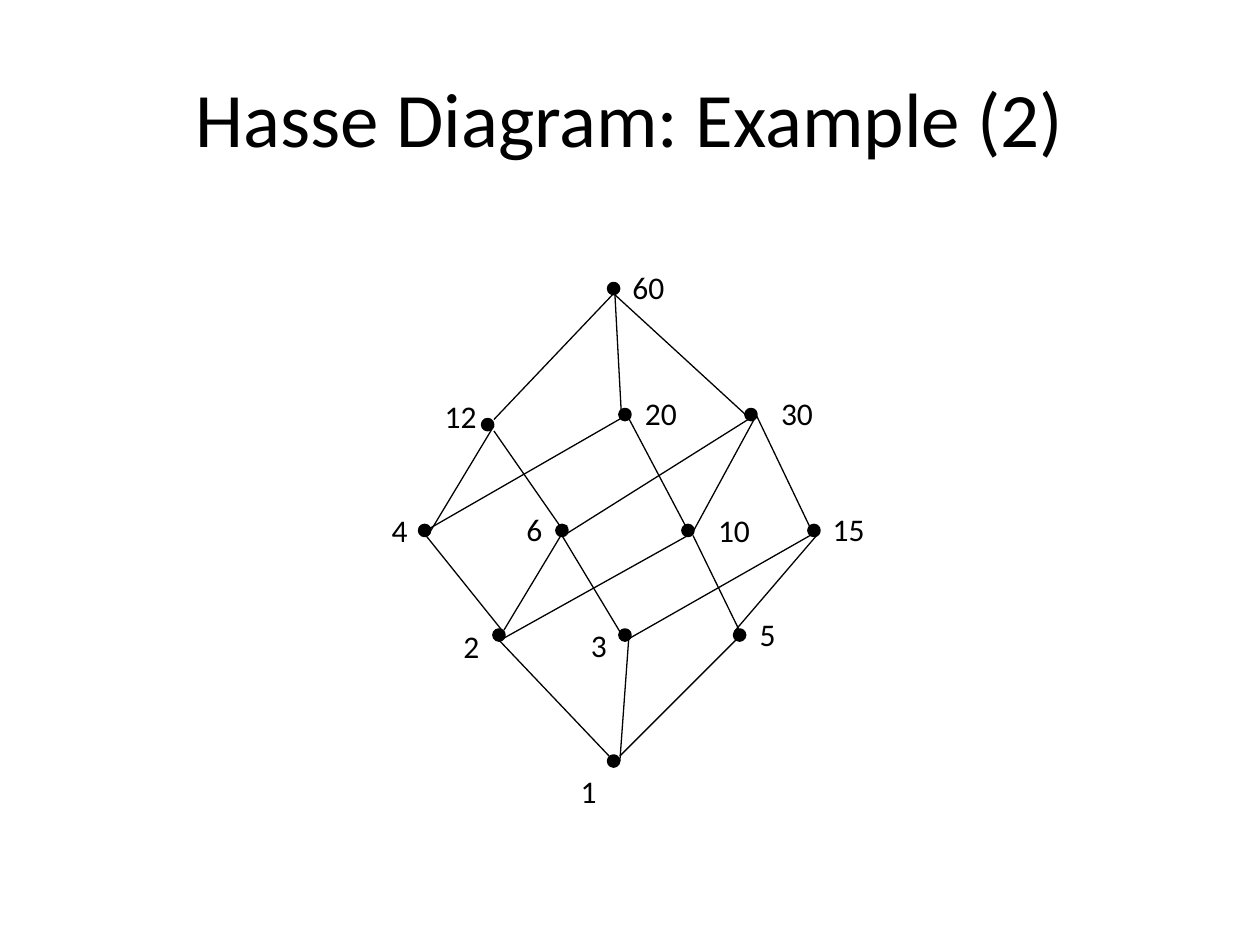
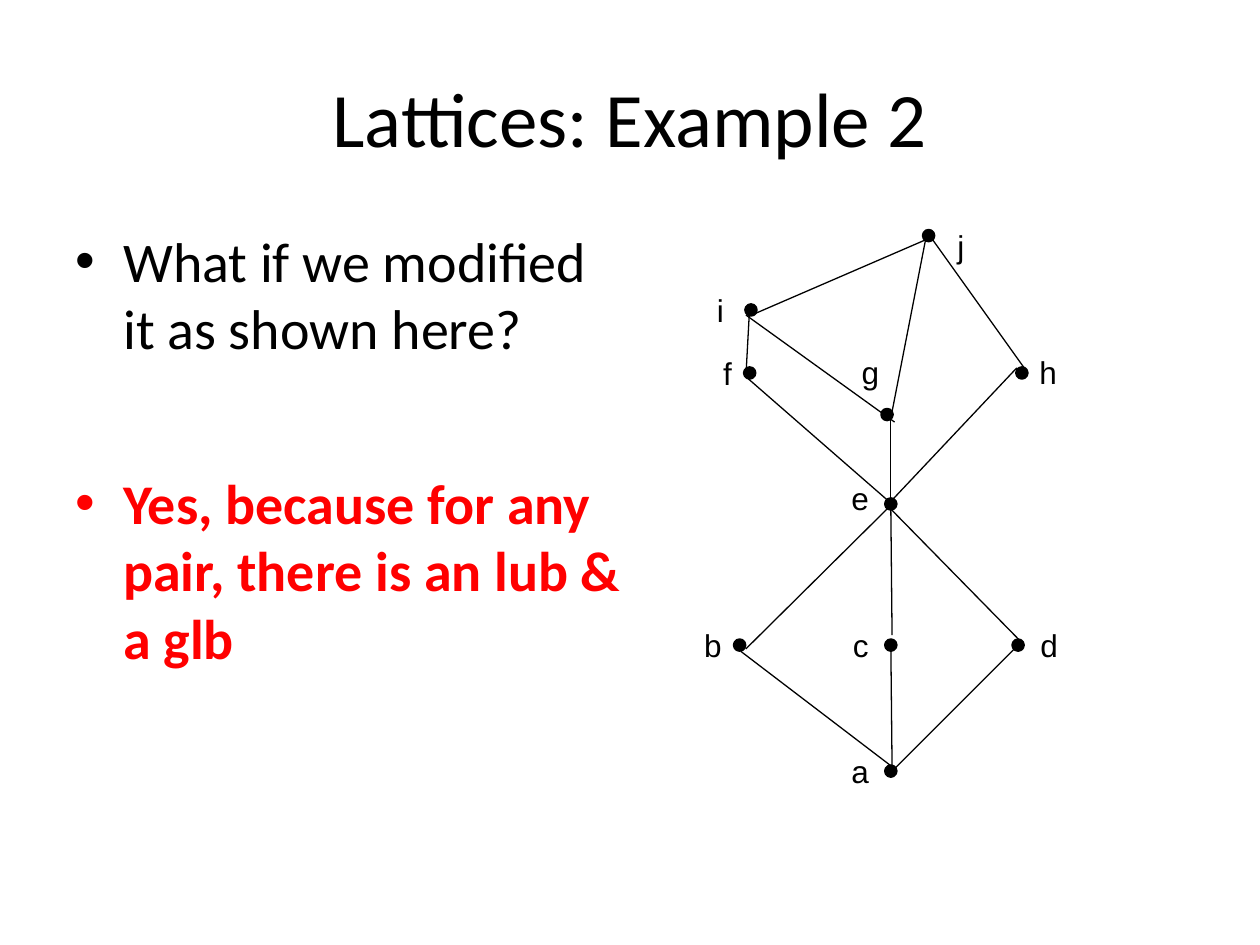
from lxml import etree
from pptx import Presentation
from pptx.dml.color import RGBColor
from pptx.enum import shapes, text
from pptx.oxml.ns import qn
from pptx.util import Inches, Pt

BLACK = RGBColor(0x00, 0x00, 0x00)
RED = RGBColor(0xFF, 0x00, 0x00)
BODY_FONT = "Calibri"
LETTER_FONT = "Arial"
DOT_SIZE = 0.08
LABEL_HEIGHT = 0.4
DIGIT_WIDTHS = {1: 0.32, 2: 0.45}
LETTER_WIDTHS = {"i": 0.25, "j": 0.25, "f": 0.27, "c": 0.32, "b": 0.33}
LETTER_WIDTH = 0.34

# Each node: name, left and top of its dot, left and top of its label
DIVISOR_NODES = [
    ("60", (4.83, 2.25), (4.92, 2.08)),
    ("12", (3.83, 3.33), (3.43, 3.1)),
    ("20", (4.92, 3.25), (5.02, 3.08)),
    ("30", (5.92, 3.25), (6.1, 3.08)),
    ("4", (3.33, 4.17), (3.01, 4.01)),
    ("6", (4.42, 4.17), (4.08, 4)),
    ("10", (5.42, 4.17), (5.6, 4.01)),
    ("15", (6.42, 4.17), (6.51, 4)),
    ("2", (3.92, 5), (3.58, 4.93)),
    ("3", (4.92, 5), (4.59, 4.92)),
    ("5", (5.83, 5), (5.93, 4.83)),
    ("1", (4.83, 6), (4.51, 6.08)),
]
# Each edge: x and y of its lower end, x and y of its upper end
DIVISOR_EDGES = [
    (4.9, 6.07, 3.96, 5.08),  # 1 to 2
    (4.92, 6.04, 4.99, 5.07),  # 1 to 3
    (4.92, 6, 5.85, 5.07),  # 1 to 5
    (3.99, 5.01, 3.38, 4.25),  # 2 to 4
    (4, 5, 4.5, 4.17),  # 2 to 6
    (3.99, 5.07, 5.46, 4.25),  # 2 to 10
    (4.96, 5.08, 4.46, 4.25),  # 3 to 6
    (4.99, 5.07, 6.5, 4.21),  # 3 to 15
    (5.9, 5.07, 5.5, 4.25),  # 5 to 10
    (5.83, 5.01, 6.49, 4.24),  # 5 to 15
    (3.42, 4.21, 3.92, 3.38),  # 4 to 12
    (3.33, 4.24, 4.93, 3.32),  # 4 to 20
    (4.49, 4.24, 3.92, 3.42),  # 6 to 12
    (4.49, 4.24, 6, 3.29),  # 6 to 30
    (5.46, 4.21, 4.99, 3.32),  # 10 to 20
    (5.49, 4.24, 5.99, 3.32),  # 10 to 30
    (6.46, 4.25, 6, 3.29),  # 15 to 30
    (3.92, 3.33, 4.87, 2.33),  # 12 to 60
    (4.93, 3.26, 4.88, 2.33),  # 20 to 60
    (5.96, 3.33, 4.87, 2.33),  # 30 to 60
]

LATTICE_NODES = [
    ("j", (7.33, 1.83), (7.5, 1.75)),
    ("i", (5.92, 2.42), (5.59, 2.26)),
    ("f", (5.91, 2.92), (5.64, 2.76)),
    ("g", (7, 3.25), (6.74, 2.75)),
    ("h", (8.07, 2.92), (8.15, 2.75)),
    ("e", (7.03, 3.96), (6.66, 3.75)),
    ("b", (5.83, 5.08), (5.49, 4.92)),
    ("c", (7.03, 5.08), (6.67, 4.92)),
    ("d", (8.04, 5.08), (8.16, 4.92)),
    ("a", (7.03, 6.08), (6.66, 5.92)),
]
LATTICE_EDGES = [
    (7.1, 6.1, 5.88, 5.17),  # a to b
    (7.08, 6.08, 7.07, 5.08),  # a to c
    (7.1, 6.1, 8.05, 5.15),  # a to d
    (5.92, 5.15, 7.05, 4.03),  # b to e
    (7.08, 5.04, 7.07, 4),  # c to e
    (8.11, 5.1, 7.07, 4.04),  # d to e
    (7.09, 4.01, 5.92, 2.99),  # e to f
    (7.07, 4.04, 7.07, 3.32),  # e to g
    (7.07, 3.98, 8.07, 2.92),  # e to h
    (5.92, 2.99, 5.95, 2.43),  # f to i
    (7.1, 3.35, 5.92, 2.5),  # g to i
    (7.07, 3.32, 7.36, 1.83),  # g to j
    (8.15, 2.95, 7.4, 1.9),  # h to j
    (5.99, 2.49, 7.4, 1.88),  # i to j
]


def add_run(p, content, size, font=BODY_FONT, color=BLACK, bold=False):
    r = p.add_run()
    r.text = content
    r.font.size = Pt(size)
    r.font.name = font
    r.font.color.rgb = color
    r.font.bold = bold


def add_titled_slide(prs, title):
    s = prs.slides.add_slide(prs.slide_layouts[5])
    sp = s.shapes.title
    sp.left, sp.top, sp.width, sp.height = map(Inches, (0.5, 0.3, 9, 1.25))
    tf = sp.text_frame
    tf.vertical_anchor = text.MSO_ANCHOR.MIDDLE
    p = tf.paragraphs[0]
    p.alignment = text.PP_ALIGN.CENTER
    add_run(p, title, 44)
    return s


def add_edge(s, x1, y1, x2, y2):
    line = s.shapes.add_connector(
        shapes.MSO_CONNECTOR.STRAIGHT, *map(Inches, (x1, y1, x2, y2)))
    line.line.color.rgb = BLACK
    line.line.width = Pt(0.75)
    sp_pr = line._element.find(qn("p:spPr"))
    etree.SubElement(sp_pr, qn("a:effectLst"))


def add_dot(s, left, top):
    sp = s.shapes.add_shape(
        shapes.MSO_SHAPE.OVAL, *map(Inches, (left, top, DOT_SIZE, DOT_SIZE)))
    sp.shadow.inherit = False
    sp.fill.solid()
    sp.fill.fore_color.rgb = BLACK
    sp.line.color.rgb = BLACK
    sp.line.width = Pt(2)


def add_label(s, name, left, top, font):
    if name.isdigit():
        width = DIGIT_WIDTHS[len(name)]
    else:
        width = LETTER_WIDTHS.get(name, LETTER_WIDTH)
    sp = s.shapes.add_textbox(*map(Inches, (left, top, width, LABEL_HEIGHT)))
    tf = sp.text_frame
    tf.word_wrap = False
    tf.auto_size = text.MSO_AUTO_SIZE.SHAPE_TO_FIT_TEXT
    add_run(tf.paragraphs[0], name, 18, font)


def add_hasse_diagram(s, nodes, edges, font):
    for edge in edges:
        add_edge(s, *edge)
    for name, dot, label in nodes:
        add_dot(s, *dot)
        add_label(s, name, *label, font)


def add_bullet(s, top, content, color=BLACK, bold=False):
    sp = s.shapes.add_textbox(*map(Inches, (0.5, top, 4.58, 1.5)))
    tf = sp.text_frame
    tf.word_wrap = True
    p = tf.paragraphs[0]
    p.space_before = Pt(8)
    p_pr = p._p.get_or_add_pPr()
    p_pr.set("marL", str(Inches(0.38)))
    p_pr.set("indent", str(-Inches(0.38)))
    bu_clr = etree.SubElement(p_pr, qn("a:buClr"))
    etree.SubElement(bu_clr, qn("a:srgbClr"), val=str(color))
    etree.SubElement(p_pr, qn("a:buFont"), typeface=LETTER_FONT)
    etree.SubElement(p_pr, qn("a:buChar"), char="•")
    add_run(p, content, 32, color=color, bold=bold)


def main():
    prs = Presentation()
    prs.slide_width, prs.slide_height = Inches(10), Inches(7.5)

    s = add_titled_slide(prs, "Hasse Diagram: Example (2)")
    add_hasse_diagram(s, DIVISOR_NODES, DIVISOR_EDGES, BODY_FONT)

    s = add_titled_slide(prs, "Lattices: Example 2")
    add_bullet(s, 1.75, "What if we modified it as shown here?")
    add_bullet(s, 3.67, "Yes, because for any pair, there is an lub & a glb",
               RED, bold=True)
    add_hasse_diagram(s, LATTICE_NODES, LATTICE_EDGES, LETTER_FONT)

    prs.save("out.pptx")


if __name__ == "__main__":
    main()
